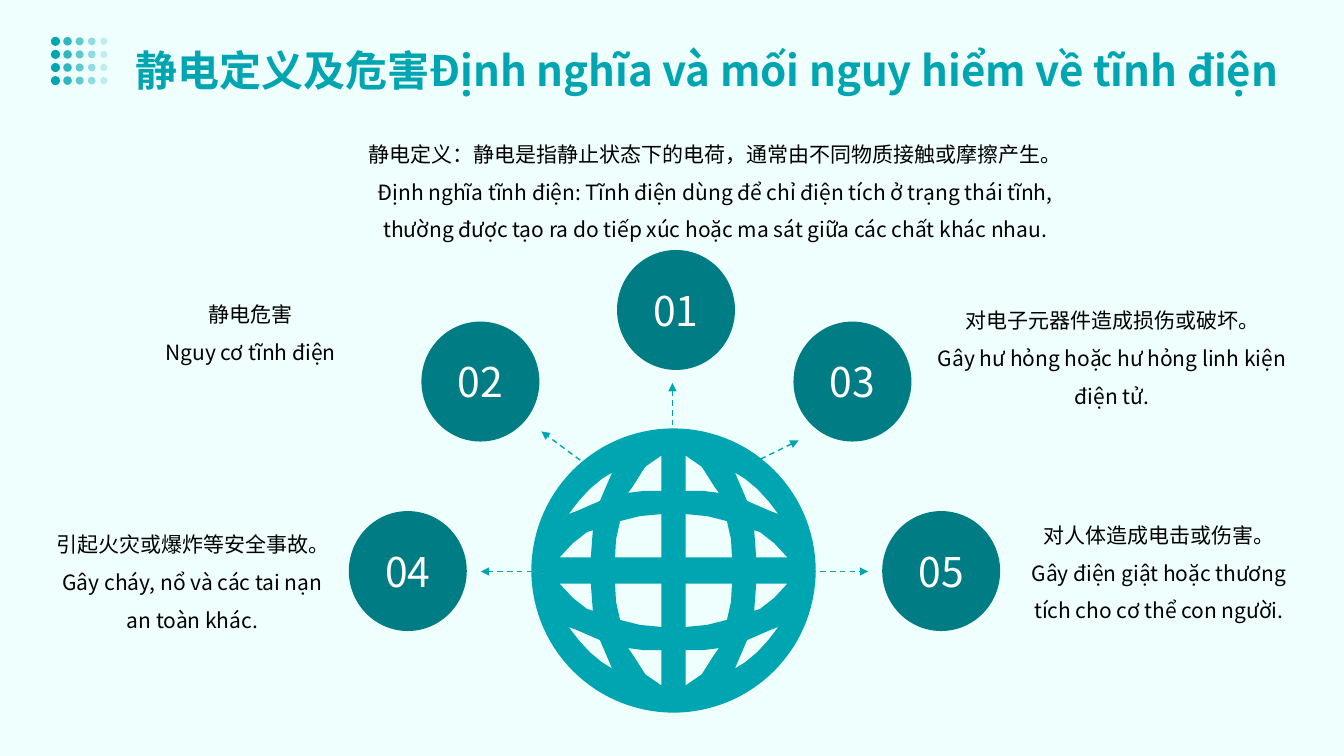
import math
from dataclasses import dataclass

import pptx
import pptx.dml.color
import pptx.enum.dml
import pptx.enum.shapes
import pptx.enum.text
import pptx.oxml.ns
import pptx.shapes.base
import pptx.slide
import pptx.text.text
import pptx.util
from lxml import etree

Inches = pptx.util.Inches
ALIGN = pptx.enum.text.PP_ALIGN
ANCHOR = pptx.enum.text.MSO_ANCHOR
FONT = "Noto Sans CJK SC"
TEAL, DARK, WHITE, BLACK, MINT = "00A5B2", "007C85", "FFFFFF", "000000", "EFFFFD"


@dataclass
class Node:
    mark: str
    left: float
    top: float


@dataclass
class Note:
    left: float
    top: float
    width: float
    lines: tuple[str, str]


@dataclass
class Arrow:
    x1: float
    y1: float
    x2: float
    y2: float


NODES = [
    Node("04", 3.46, 5.07),
    Node("02", 4.18, 3.19),
    Node("01", 6.12, 2.48),
    Node("03", 7.87, 3.19),
    Node("05", 8.75, 5.07),
]
NOTES = [
    Note(0.41, 5.07, 3, ("引起火灾或爆炸等安全事故。",
                         "Gây cháy, nổ và các tai nạn an toàn khác.")),
    Note(1.06, 2.6, 2.85, ("静电危害", "Nguy cơ tĩnh điện")),
    Note(3.35, 1.2, 7.49, (
        "静电定义：静电是指静止状态下的电荷，通常由不同物质接触或摩擦产生。",
        "Định nghĩa tĩnh điện: Tĩnh điện dùng để chỉ điện tích ở trạng thái tĩnh, "
        "thường được tạo ra do tiếp xúc hoặc ma sát giữa các chất khác nhau.")),
    Note(9.19, 2.85, 3.68, ("对电子元器件造成损伤或破坏。",
                            "Gây hư hỏng hoặc hư hỏng linh kiện điện tử.")),
    Note(10.07, 4.98, 2.85, ("对人体造成电击或伤害。",
                             "Gây điện giật hoặc thương tích cho cơ thể con người.")),
]
ARROWS = [
    Arrow(5.76, 5.67, 4.77, 5.67),
    Arrow(6.69, 5.67, 8.61, 5.67),
    Arrow(6.67, 4.51, 6.67, 3.8),
    Arrow(5.91, 4.68, 5.37, 4.28),
    Arrow(7.37, 4.64, 7.92, 4.37),
]
# Gaps in one quarter of the globe, as offsets from its centre
GAPS = [
    [(0.12, 0.79), (0.12, 1.14), (0.28, 1.03), (0.4, 0.84), (0.45, 0.77), (0.29, 0.79)],
    [(0.12, 0.13), (0.12, 0.56), (0.33, 0.54), (0.53, 0.49), (0.57, 0.31), (0.58, 0.13)],
    [(1.13, 0.13), (0.82, 0.13), (0.81, 0.27), (0.8, 0.4), (0.86, 0.38), (1, 0.27)],
    [(1.04, 0.56), (0.96, 0.59), (0.73, 0.69), (0.67, 0.83), (0.61, 0.97),
     (0.58, 0.99), (0.71, 0.91), (0.83, 0.81), (0.94, 0.69)],
]
HUB_X, HUB_Y, RADIUS = 6.68, 5.66, 1.41


def tint(code: str) -> pptx.dml.color.RGBColor:
    return pptx.dml.color.RGBColor.from_string(code)


def add_run(para: pptx.text.text._Paragraph, text: str, size: float,
            color: str, bold: bool = False) -> None:
    run = para.add_run()
    run.text = text
    font = run.font
    font.size, font.bold, font.name = pptx.util.Pt(size), bold, FONT
    font.color.rgb = tint(color)
    east = etree.SubElement(run._r.get_or_add_rPr(), pptx.oxml.ns.qn("a:ea"))
    east.set("typeface", FONT)


def paint(shape: pptx.shapes.base.BaseShape, color: str, alpha: int = 100) -> None:
    """Give a plain fill with no line or shadow; alpha is in percent."""
    shape.shadow.inherit = False
    shape.line.fill.background()
    shape.fill.solid()
    shape.fill.fore_color.rgb = tint(color)
    if alpha < 100:
        hue = shape._element.spPr.find(".//" + pptx.oxml.ns.qn("a:srgbClr"))
        etree.SubElement(hue, pptx.oxml.ns.qn("a:alpha")).set("val", str(alpha * 1000))


def add_disc(shapes, left: float, top: float, width: float, height: float):
    return shapes.add_shape(pptx.enum.shapes.MSO_SHAPE.OVAL, Inches(left),
                            Inches(top), Inches(width), Inches(height))


def add_title(slide: pptx.slide.Slide) -> None:
    title = slide.shapes.title
    title.left, title.top = Inches(1.2), Inches(0.1)
    title.width, title.height = Inches(11.8), Inches(0.91)
    frame = title.text_frame
    frame.auto_size = pptx.enum.text.MSO_AUTO_SIZE.NONE
    frame.vertical_anchor = ANCHOR.TOP
    frame.margin_left = frame.margin_top = frame.margin_bottom = Inches(0.14)
    frame.margin_right = Inches(0.06)
    para = frame.paragraphs[0]
    para.alignment, para.line_spacing = ALIGN.LEFT, 1.4
    add_run(para, "静电定义及危害Định nghĩa và mối nguy hiểm về tĩnh điện", 30, TEAL, True)


def add_globe(slide: pptx.slide.Slide) -> None:
    rim = [(RADIUS * math.cos(math.radians(a)), RADIUS * math.sin(math.radians(a)))
           for a in range(0, 360, 3)]
    holes = [[(sx * x, sy * y) for x, y in gap]
             for gap in GAPS for sx in (-1, 1) for sy in (-1, 1)]
    loops = [[(Inches(HUB_X + x), Inches(HUB_Y + y)) for x, y in loop]
             for loop in [rim, *holes]]
    pen = slide.shapes.build_freeform(*loops[0][0])
    for loop in loops:
        if loop is not loops[0]:
            pen.move_to(*loop[0])
        pen.add_line_segments(loop[1:], close=True)
    paint(pen.convert_to_shape(), TEAL)


def add_arrow(slide: pptx.slide.Slide, arrow: Arrow) -> None:
    link = slide.shapes.add_connector(
        pptx.enum.shapes.MSO_CONNECTOR.STRAIGHT, Inches(arrow.x1),
        Inches(arrow.y1), Inches(arrow.x2), Inches(arrow.y2))
    link.line.color.rgb = tint(TEAL)
    link.line.width = pptx.util.Pt(1)
    link.line.dash_style = pptx.enum.dml.MSO_LINE.DASH
    tip = etree.SubElement(link.line._get_or_add_ln(), pptx.oxml.ns.qn("a:tailEnd"))
    tip.set("type", "triangle")
    etree.SubElement(link._element.spPr, pptx.oxml.ns.qn("a:effectLst"))


def add_node(slide: pptx.slide.Slide, node: Node) -> None:
    disc = add_disc(slide.shapes, node.left, node.top, 1.17, 1.19)
    paint(disc, DARK)
    frame = disc.text_frame
    frame.margin_left = frame.margin_right = frame.margin_top = frame.margin_bottom = 0
    frame.vertical_anchor = ANCHOR.MIDDLE
    para = frame.paragraphs[0]
    para.alignment = ALIGN.CENTER
    add_run(para, node.mark, 29.2, WHITE)


def add_note(slide: pptx.slide.Slide, note: Note) -> None:
    box = slide.shapes.add_textbox(Inches(note.left), Inches(note.top),
                                   Inches(note.width), Inches(1.28))
    frame = box.text_frame
    frame.word_wrap = True
    frame.vertical_anchor = ANCHOR.MIDDLE
    for i, line in enumerate(note.lines):
        para = frame.add_paragraph() if i else frame.paragraphs[0]
        para.alignment, para.line_spacing = ALIGN.CENTER, 1.5
        add_run(para, line, 15, BLACK)


def add_dots(slide: pptx.slide.Slide) -> None:
    group = slide.shapes.add_group_shape()
    for row in range(4):
        for col in range(5):
            size = 0.09 - 0.005 * col
            dot = add_disc(group.shapes, 0.55 + 0.12 * col - size / 2,
                           0.41 + 0.13 * row - size / 2, size, size)
            paint(dot, TEAL, 100 - 20 * col)


def main() -> None:
    deck = pptx.Presentation()
    deck.slide_width, deck.slide_height = Inches(13.33), Inches(7.5)
    slide = deck.slides.add_slide(deck.slide_layouts.get_by_name("Title Only"))
    slide.background.fill.solid()
    slide.background.fill.fore_color.rgb = tint(MINT)
    add_title(slide)
    add_globe(slide)
    for arrow in ARROWS:
        add_arrow(slide, arrow)
    for node in NODES:
        add_node(slide, node)
    for note in NOTES:
        add_note(slide, note)
    add_dots(slide)
    deck.save("out.pptx")


if __name__ == "__main__":
    main()
